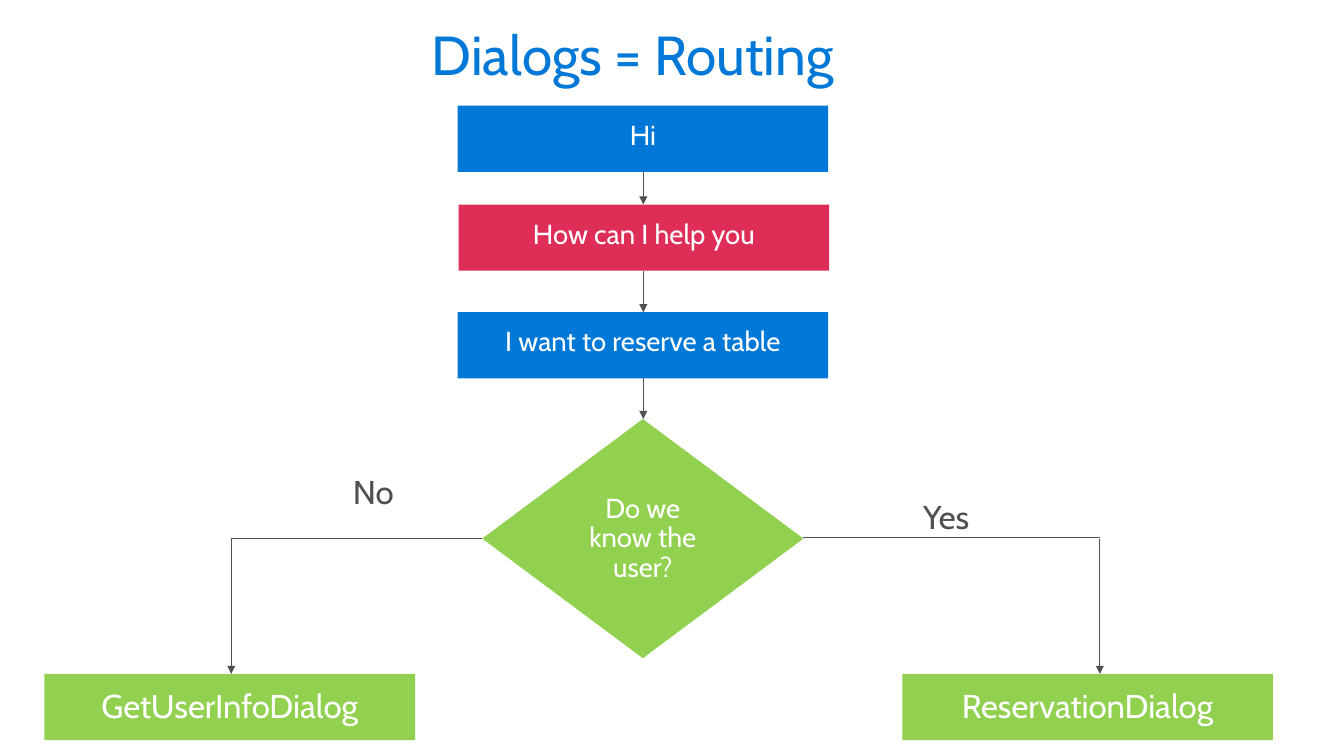
from lxml import etree
from pptx import Presentation
from pptx import util as u
from pptx.dml.color import RGBColor
from pptx.enum import shapes, text
from pptx.oxml.ns import qn

COLORS = {"blue": "0078D7", "red": "DE2E58", "green": "92D050",
          "gray": "505050", "white": "FFFFFF"}


class FlowSlide:
    font = "Cabin"

    def __init__(self, prs):
        self.s = prs.slides.add_slide(prs.slide_layouts[6])

    def color(self, name):
        return RGBColor.from_string(COLORS[name])

    def add_words(self, sp, words, size, color, align):
        tf = sp.text_frame
        tf.margin_left = tf.margin_right = u.Inches(0.2)
        tf.margin_top = tf.margin_bottom = u.Inches(0.16)
        tf.vertical_anchor = text.MSO_ANCHOR.TOP
        p = tf.paragraphs[0]
        p.alignment = align
        p.line_spacing = 0.9
        r = p.add_run()
        r.text = words
        r.font.name = self.font
        r.font.size = u.Pt(size)
        r.font.color.rgb = self.color(color)
        return tf

    def node(self, words, fill, x, y, w=3.75, h=0.67, size=20,
             kind=shapes.MSO_SHAPE.RECTANGLE):
        sp = self.s.shapes.add_shape(kind, *map(u.Inches, (x, y, w, h)))
        sp.shadow.inherit = False
        sp.fill.solid()
        sp.fill.fore_color.rgb = self.color(fill)
        sp.line.fill.background()
        tf = self.add_words(sp, words, size, "white", text.PP_ALIGN.CENTER)
        tf.word_wrap = True

    def label(self, words, x, y, w, h, size=24, color="gray"):
        sp = self.s.shapes.add_textbox(*map(u.Inches, (x, y, w, h)))
        tf = self.add_words(sp, words, size, color, text.PP_ALIGN.LEFT)
        tf.word_wrap = False
        tf.auto_size = text.MSO_AUTO_SIZE.SHAPE_TO_FIT_TEXT

    def line(self, x1, y1, x2, y2, arrow=False):
        c = self.s.shapes.add_connector(
            shapes.MSO_CONNECTOR.STRAIGHT, *map(u.Inches, (x1, y1, x2, y2)))
        c.line.color.rgb = self.color("gray")
        c.line.width = u.Pt(0.75)
        sp_pr = c._element.spPr
        if arrow:
            etree.SubElement(sp_pr.find(qn("a:ln")), qn("a:tailEnd"), type="triangle")
        etree.SubElement(sp_pr, qn("a:effectLst"))


def main():
    prs = Presentation()
    prs.slide_width, prs.slide_height = u.Inches(13.6), u.Inches(7.65)
    flow = FlowSlide(prs)

    flow.label("Dialogs = Routing", 4.17, 0.12, 4.88, 0.93, 40, "blue")

    center = 6.51
    for words, fill, x, y, next_y in (
            ("Hi", "blue", 4.63, 1.07, 2.07),
            ("How can I help you", "red", 4.64, 2.07, 3.16),
            ("I want to reserve a table", "blue", 4.63, 3.16, 4.24)):
        flow.node(words, fill, x, y)
        flow.line(center, y + 0.67, center, next_y, arrow=True)

    flow.node("Do we know the user?", "green", 4.88, 4.24, 3.25, 2.42,
              kind=shapes.MSO_SHAPE.DIAMOND)

    for words, x, drop_x, corner_x, branch_y in (
            ("GetUserInfoDialog", 0.45, 2.34, 4.88, 5.45),
            ("ReservationDialog", 9.13, 11.13, 8.13, 5.44)):
        flow.node(words, "green", x, 6.82, size=24)
        flow.line(corner_x, branch_y, drop_x, branch_y)
        flow.line(drop_x, 5.45, drop_x, 6.82, arrow=True)

    flow.label("No", 3.37, 4.66, 0.85, 0.69)
    flow.label("Yes", 9.14, 4.91, 0.88, 0.69)

    prs.save("out.pptx")


if __name__ == "__main__":
    main()
